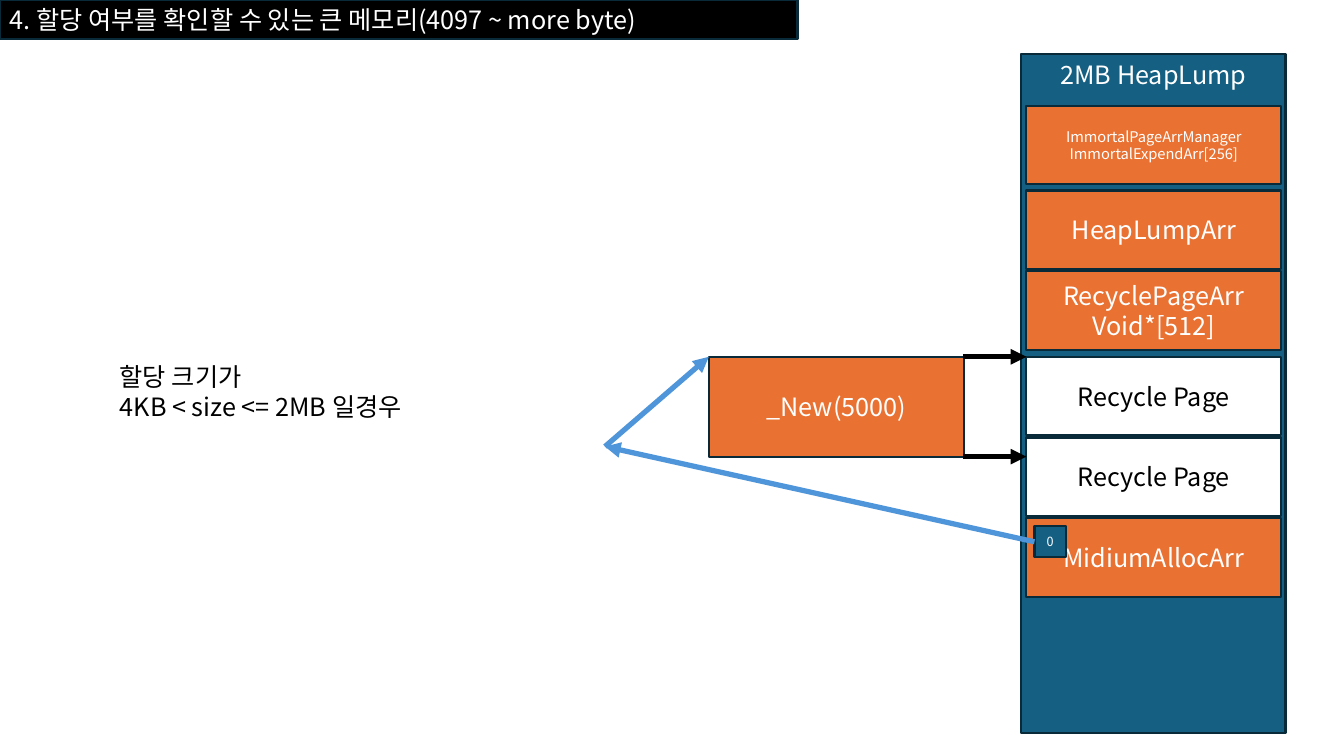
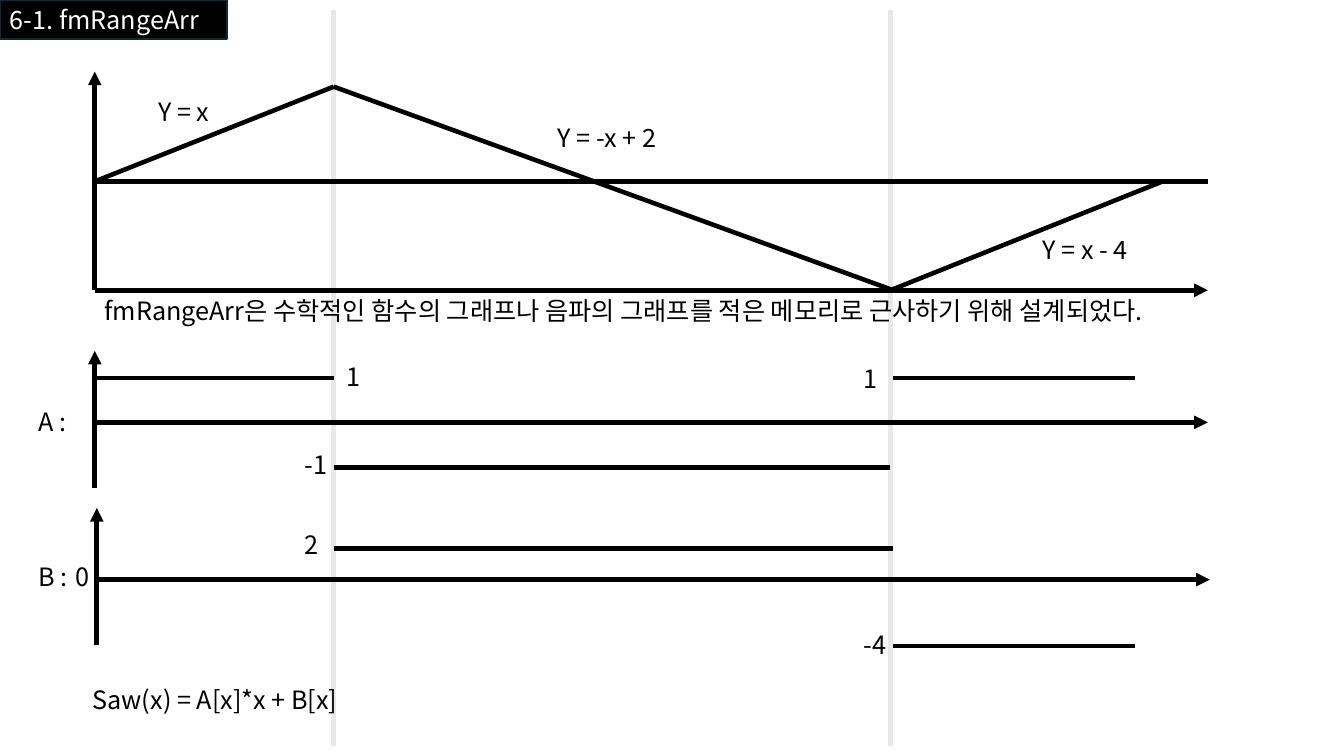
from lxml import etree
from pptx import Presentation
from pptx.dml.color import RGBColor
from pptx.enum.shapes import MSO_CONNECTOR, MSO_SHAPE
from pptx.enum.text import MSO_ANCHOR, MSO_AUTO_SIZE, PP_ALIGN
from pptx.oxml.ns import qn
from pptx.util import Emu, Pt

PX = 9144  # 100 px to the inch
FONT = "Noto Sans CJK KR"
BLACK, WHITE = "000000", "FFFFFF"
TEAL, ORANGE, OUTLINE = "156082", "E97132", "092A39"
BLUE, GUIDE = "4E95D9", "E8E8E8"
LEFT_SIDE = 1

GUIDES = (331, 883)
BREAK = 886  # where the last step begins


def px(*lengths):
    return [Emu(length * PX) for length in lengths]


def rgb(code):
    return RGBColor.from_string(code)


def write(frame, text, size, color, align):
    frame.word_wrap = True
    frame.text = text
    for paragraph in frame.paragraphs:
        paragraph.alignment = align
        paragraph.line_spacing = Pt(round(size * 1.19, 1))
        font = paragraph.font
        font.size, font.name = Pt(size), FONT
        font.color.rgb = rgb(color)
        for run in paragraph.runs:
            east_asian = etree.SubElement(run._r.get_or_add_rPr(), qn("a:ea"))
            east_asian.set("typeface", FONT)


def block(slide, box, text, fill, color=WHITE, size=18,
          align=PP_ALIGN.CENTER, anchor=MSO_ANCHOR.MIDDLE):
    rect = slide.shapes.add_shape(MSO_SHAPE.RECTANGLE, *px(*box))
    rect.shadow.inherit = False
    rect.fill.solid()
    rect.fill.fore_color.rgb = rgb(fill)
    rect.line.color.rgb = rgb(OUTLINE)
    rect.line.width = Pt(1.5)
    rect.text_frame.vertical_anchor = anchor
    write(rect.text_frame, text, size, color, align)
    return rect


def label(slide, x, y, text, width=54, height=40):
    frame = slide.shapes.add_textbox(*px(x, y, width, height)).text_frame
    frame.auto_size = MSO_AUTO_SIZE.SHAPE_TO_FIT_TEXT
    write(frame, text, 18, BLACK, PP_ALIGN.LEFT)


def stroke(slide, start, end, color=BLACK, width=3.25, arrow=False):
    connector = slide.shapes.add_connector(
        MSO_CONNECTOR.STRAIGHT, *px(*start, *end))
    connector.line.color.rgb = rgb(color)
    connector.line.width = Pt(width)
    if arrow:
        tail = etree.SubElement(connector.line._get_or_add_ln(), qn("a:tailEnd"))
        tail.set("type", "triangle")
    etree.SubElement(connector._element.spPr, qn("a:effectLst"))
    return connector


def title_band(slide, text, width):
    block(slide, (0, 0, width, 39), text, BLACK, align=PP_ALIGN.LEFT)


def heap_lump(slide, left, top):
    """Draw the heap column and return the slot in its allocation array."""
    block(slide, (left, top, 262, 673), "2MB HeapLump", TEAL,
          anchor=MSO_ANCHOR.TOP)
    sections = (
        (51, "ImmortalPageArrManager\nImmortalExpendArr[256]", ORANGE, WHITE, 10.5),
        (135, "HeapLumpArr", ORANGE, WHITE, 18),
        (215, "RecyclePageArr\nVoid*[512]", ORANGE, WHITE, 18),
        (300, "Recycle Page", WHITE, BLACK, 18),
        (380, "Recycle Page", WHITE, BLACK, 18),
        (460, "MidiumAllocArr", ORANGE, WHITE, 18),
    )
    for offset, text, fill, color, size in sections:
        block(slide, (left + 5, top + offset, 253, 78), text, fill, color, size)
    return block(slide, (left + 13, top + 468, 31, 31), "0", TEAL, size=9)


def new_allocation(slide, left, top, slot):
    """Draw the allocated block, its extent in the heap and its pointer."""
    width, height = 253, 99
    block(slide, (left, top, width, height), "_New(5000)", ORANGE)
    for y in (top, top + height):
        stroke(slide, (left + width - 1, y), (left + width + 62, y),
               width=3.75, arrow=True)
    bend = (left - 103, top + 89)
    pointer = stroke(slide, (1026, 537), bend, BLUE, 3.75, arrow=True)
    pointer.begin_connect(slot, LEFT_SIDE)
    stroke(slide, bend, (left, top), BLUE, 3.75, arrow=True)


def memory_slide(slide):
    title_band(slide, "4. 할당 여부를 확인할 수 있는 큰 메모리(4097 ~ more byte)", 791)
    slot = heap_lump(slide, 1013, 54)
    new_allocation(slide, 703, 354, slot)
    label(slide, 109, 354, "할당 크기가\n4KB < size <= 2MB 일경우", 387, 71)


def axes(slide, left, top, height, axis_y, width=1104):
    stroke(slide, (left, top + axis_y), (left + width, top + axis_y), arrow=True)
    stroke(slide, (left, top + height), (left, top), arrow=True)


def wave_graph(slide, left, top):
    axes(slide, left, top, 217, 217)
    middle, bottom = top + 109, top + 217
    peak = (GUIDES[0], top + 15)
    stroke(slide, (left, middle), peak)
    stroke(slide, peak, (BREAK, bottom))
    stroke(slide, (GUIDES[1], bottom), (left + 1059, middle))
    stroke(slide, (left + 2, middle), (left + 1104, middle))
    for x, y, text, width in ((53, 20, "Y = x", 129),
                              (449, 46, "Y = -x + 2", 182),
                              (930, 157, "Y = x - 4", 129)):
        label(slide, left + x, top + y, text, width)


def step_graph(slide, left, top, steps, labels):
    """Steps are (start x, end x, height); label places count from the box."""
    axes(slide, left, top, 136, 71)
    for start, end, y in steps:
        stroke(slide, (start, top + y), (end, top + y))
    for x, y, text in labels:
        label(slide, left + x, top + y, text)


def range_slide(slide):
    for x in GUIDES:
        stroke(slide, (x, 10), (x, 740), GUIDE)
    title_band(slide, "6-1. fmRangeArr", 225)
    wave_graph(slide, 94, 71)
    label(slide, 94, 288, "fmRangeArr은 수학적인 함수의 그래프나 음파의 그래프를 "
          "적은 메모리로 근사하기 위해 설계되었다.", 1082, 71)
    rise, fall = GUIDES
    step_graph(slide, 94, 348,
               ((91, rise, 27), (rise, fall, 116), (BREAK, 1126, 27)),
               ((-66, 50, "A :"), (240, 6, "1"), (198, 93, "-1"), (753, 8, "1")))
    step_graph(slide, 96, 504,
               ((rise, BREAK, 40), (BREAK, 1126, 137)),
               ((-68, 48, "B :"), (-31, 48, "0"), (196, 16, "2"), (751, 116, "-4")))
    label(slide, 82, 674, "Saw(x) = A[x]*x + B[x]", 292)


def main():
    deck = Presentation()
    deck.slide_width, deck.slide_height = px(1333, 750)
    blank = deck.slide_layouts[6]
    for build in (memory_slide, range_slide):
        build(deck.slides.add_slide(blank))
    deck.save("out.pptx")


if __name__ == "__main__":
    main()
